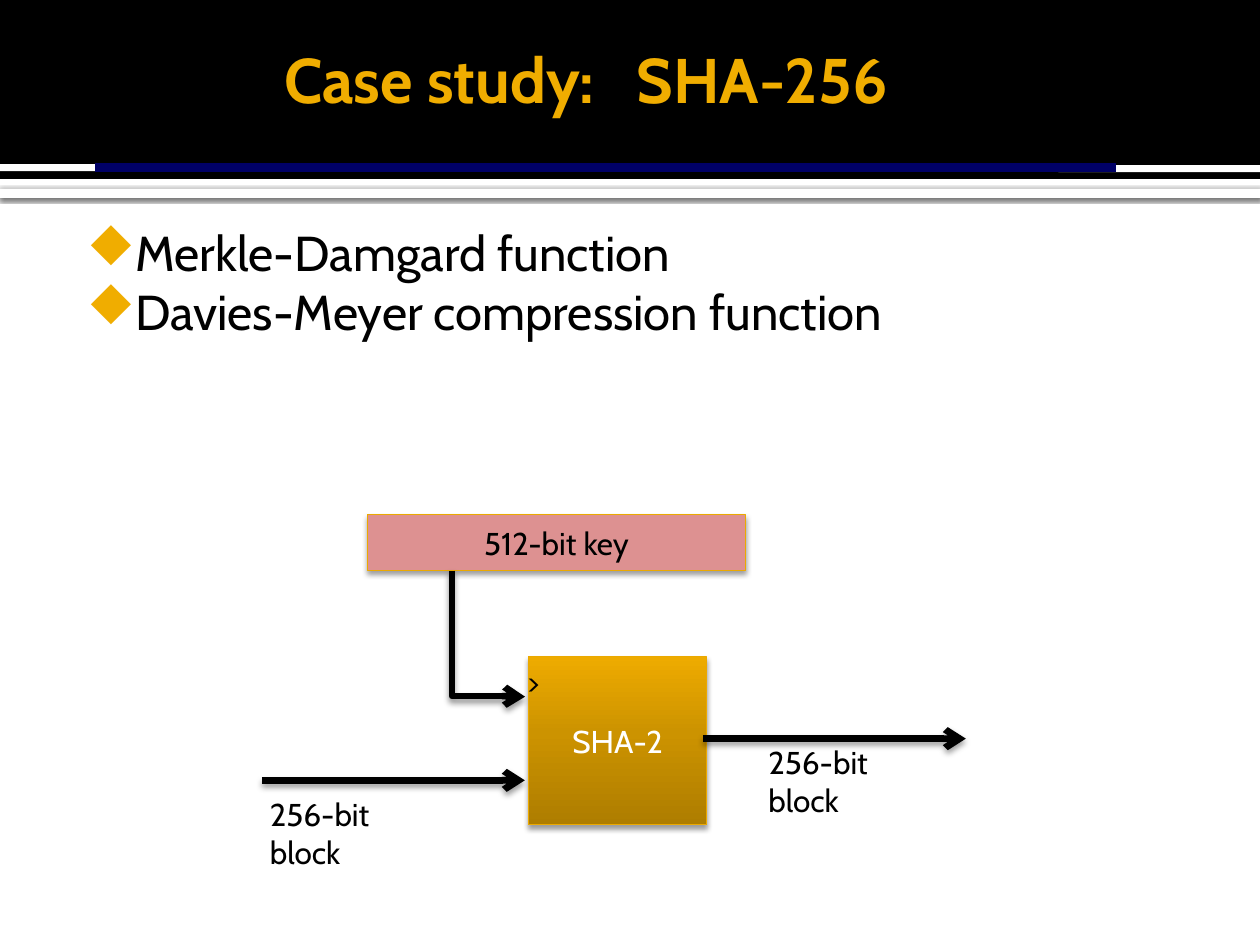
"""Build the SHA-256 case study slide."""
from copy import deepcopy

from lxml import etree
from pptx import Presentation
from pptx.dml.color import RGBColor
from pptx.enum import shapes, text
from pptx.oxml import ns
from pptx.util import Cm, Pt

COLORS = {
    "black": "000000", "white": "FFFFFF", "navy": "000066", "gold": "F0AD00",
    "edge": "EBA900", "pink": "DD9191",
    "gold_dark": "AE7D00", "gold_mid": "CC9300", "gold_light": "EEAB00",
}
COLORS = {name: RGBColor.from_string(value) for name, value in COLORS.items()}


def set_shadow(item, alpha=0, blur=0, distance=0):
    effects = etree.SubElement(item._element.spPr, ns.qn("a:effectLst"))
    if alpha:
        shadow = etree.SubElement(
            effects, ns.qn("a:outerShdw"), blurRad=str(Pt(blur)),
            dist=str(Pt(distance)), dir="5400000", rotWithShape="0")
        color = etree.SubElement(shadow, ns.qn("a:srgbClr"), val="000000")
        etree.SubElement(color, ns.qn("a:alpha"), val=str(alpha * 1000))


def add_run(paragraph, words, size, color, bold=False):
    run = paragraph.add_run()
    run.text = words
    run.font.name = "Cabin"
    run.font.size = Pt(size)
    run.font.bold = bold
    run.font.color.rgb = COLORS[color]
    return run


presentation = Presentation()
presentation.slide_width, presentation.slide_height = Cm(25.4), Cm(19.05)
slide = presentation.slides.add_slide(presentation.slide_layouts[6])

for top, height, color, shadow in [
    (3.81, 0.18, "white", (60, 2.5, 0.8)),
    (0, 3.61, "black", ()),
]:
    band = slide.shapes.add_shape(
        shapes.MSO_SHAPE.RECTANGLE, 0, Cm(top), Cm(25.4), Cm(height))
    band.fill.solid()
    band.fill.fore_color.rgb = COLORS[color]
    band.line.fill.background()
    set_shadow(band, *shadow)

for start, end, end_top, color, width in [
    (0, 25.4, 3.4, "white", 4),
    (1.91, 22.5, 3.38, "navy", 5),
]:
    rule = slide.shapes.add_connector(
        shapes.MSO_CONNECTOR.STRAIGHT, Cm(start), Cm(3.38), Cm(end), Cm(end_top))
    rule.line.color.rgb = COLORS[color]
    rule.line.width = Pt(width)
    set_shadow(rule)

title = slide.shapes.add_textbox(Cm(1.27), Cm(0.2), Cm(20.96), Cm(2.74))
frame = title.text_frame
frame.word_wrap = True
frame.vertical_anchor = text.MSO_ANCHOR.MIDDLE
frame.margin_right = Cm(0.13)
paragraph = frame.paragraphs[0]
paragraph.alignment = text.PP_ALIGN.CENTER
add_run(paragraph, "Case study:", 36, "gold", True)
gap = add_run(paragraph, " ", 36, "gold", True)
gap._r.get_or_add_rPr().set("spc", "1600")
add_run(paragraph, "SHA-256", 36, "gold", True)

body = slide.shapes.add_textbox(Cm(1.27), Cm(4.24), Cm(23.5), Cm(13.54))
frame = body.text_frame
frame.word_wrap = True
frame.margin_left, frame.margin_top = Cm(0.15), Cm(0.25)
for index, words in enumerate(
        ["Merkle-Damgard function", "Davies-Meyer compression function"]):
    paragraph = frame.add_paragraph() if index else frame.paragraphs[0]
    properties = paragraph._p.get_or_add_pPr()
    properties.set("marL", str(Cm(1.22)))
    properties.set("indent", str(Cm(-0.89)))
    bullet_color = etree.SubElement(properties, ns.qn("a:buClr"))
    etree.SubElement(bullet_color, ns.qn("a:srgbClr"), val=str(COLORS["gold"]))
    etree.SubElement(
        properties, ns.qn("a:buFont"), typeface="Wingdings", pitchFamily="2", charset="2")
    etree.SubElement(properties, ns.qn("a:buChar"), char="u")
    add_run(paragraph, words, 28, "black")

boxes = {}
for words, left, top, width, height, color in [
    ("512-bit key", 7.41, 10.38, 7.62, 1.12, "black"),
    ("SHA-2", 10.65, 13.24, 3.6, 3.39, "white"),
]:
    box = slide.shapes.add_shape(
        shapes.MSO_SHAPE.RECTANGLE, Cm(left), Cm(top), Cm(width), Cm(height))
    box.fill.solid()
    box.fill.fore_color.rgb = COLORS["pink"]
    box.line.color.rgb = COLORS["edge"]
    box.line.width = Pt(0.5)
    set_shadow(box, 38, 3.1, 2)
    box.text_frame.vertical_anchor = text.MSO_ANCHOR.MIDDLE
    paragraph = box.text_frame.paragraphs[0]
    paragraph.alignment = text.PP_ALIGN.CENTER
    add_run(paragraph, words, 18, color)
    boxes[words] = box

fill = boxes["SHA-2"].fill
fill.gradient()
fill.gradient_angle = 90
stop_list = boxes["SHA-2"]._element.spPr.find(".//" + ns.qn("a:gsLst"))
stop_list.insert(1, deepcopy(stop_list[0]))
for stop, position, color in zip(
        fill.gradient_stops, (0, 0.55, 1), ("gold_dark", "gold_mid", "gold_light")):
    stop.position = position
    stop.color.rgb = COLORS[color]

elbow = slide.shapes.add_connector(
    shapes.MSO_CONNECTOR.ELBOW, Cm(8.58), Cm(12.04), Cm(11.12), Cm(13.51))
transform = elbow._element.spPr.find(ns.qn("a:xfrm"))
transform.set("rot", "16200000")
transform.set("flipH", "1")
geometry = elbow._element.spPr.find(ns.qn("a:prstGeom"))
adjustments = geometry.find(ns.qn("a:avLst"))
etree.SubElement(adjustments, ns.qn("a:gd"), name="adj1", fmla="val 99600")

arrows = [elbow]
for left, top in [(5.28, 15.73), (14.17, 14.89)]:
    arrows.append(slide.shapes.add_connector(
        shapes.MSO_CONNECTOR.STRAIGHT, Cm(left), Cm(top), Cm(left + 5.3), Cm(top)))
for arrow in arrows:
    arrow.line.color.rgb = COLORS["black"]
    arrow.line.width = Pt(3.78)
    etree.SubElement(arrow.line._get_or_add_ln(), ns.qn("a:tailEnd"), type="arrow")
    set_shadow(arrow, 38, 3.5, 2)

for words, left, top, width in [
    (">", 10.37, 13.24, 0.84),
    ("256-bit block", 5.19, 15.9, 3.94),
    ("256-bit block", 15.24, 14.86, 3.94),
]:
    label = slide.shapes.add_textbox(Cm(left), Cm(top), Cm(width), Cm(1.02))
    label.text_frame.word_wrap = True
    add_run(label.text_frame.paragraphs[0], words, 18, "black")

presentation.save("out.pptx")
